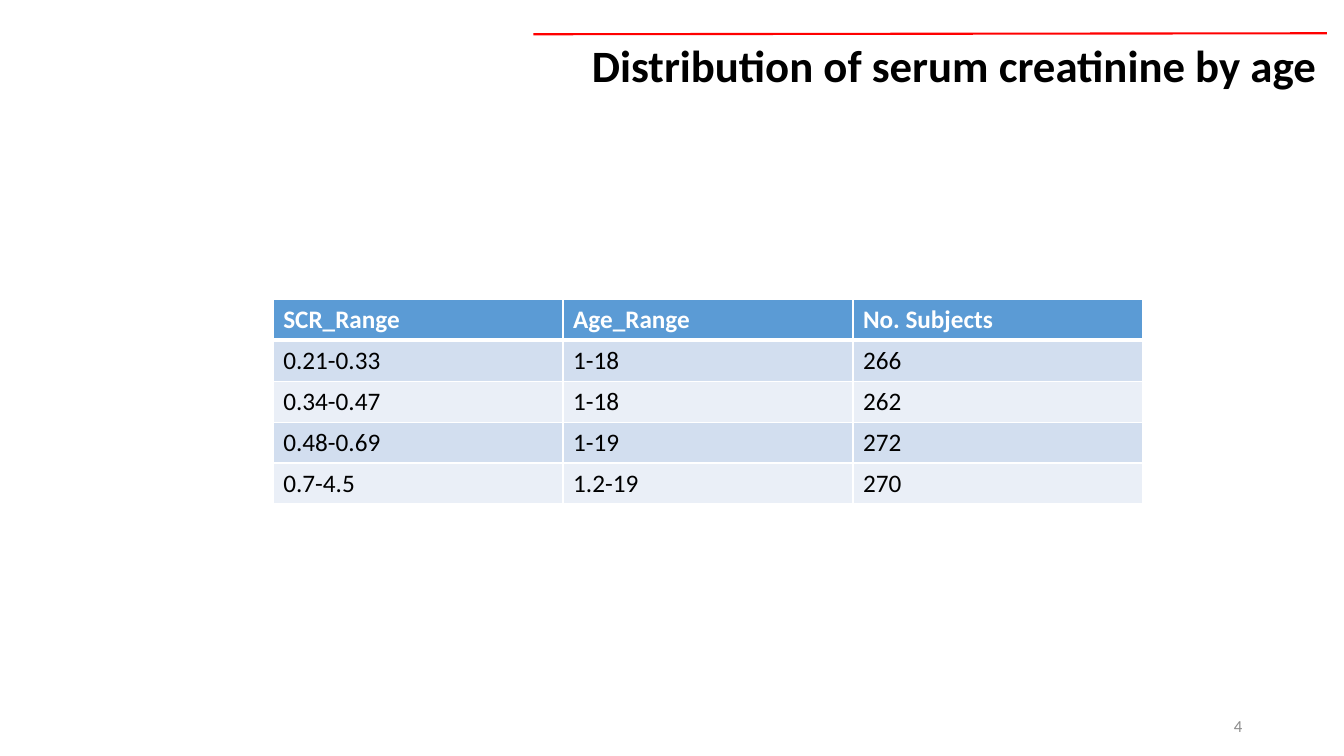
from dataclasses import dataclass

from lxml.etree import SubElement
from pptx import Presentation
from pptx.dml.color import RGBColor
from pptx.enum.shapes import MSO_CONNECTOR
from pptx.enum.text import MSO_ANCHOR, PP_ALIGN
from pptx.oxml.ns import qn
from pptx.slide import Slide
from pptx.table import _Cell
from pptx.text.text import _Paragraph
from pptx.util import Inches, Pt

FONT = "Calibri"
COLORS = {
    "black": "000000",
    "white": "FFFFFF",
    "red": "FF0000",
    "gray": "8C8C8C",
    "head": "5B9BD5",
    "dark": "D2DEEF",
    "light": "EAEFF7",
}
ROWS = [
    ("SCR_Range", "Age_Range", "No. Subjects"),
    ("0.21-0.33", "1-18", "266"),
    ("0.34-0.47", "1-18", "262"),
    ("0.48-0.69", "1-19", "272"),
    ("0.7-4.5", "1.2-19", "270"),
]
COL_WIDTH = 2.875
ROW_HEIGHT = 0.406


@dataclass
class Label:
    text: str
    left: float
    top: float
    width: float
    height: float
    size: int
    color: str
    bold: bool = False
    spacing: float = 1.0


@dataclass
class Band:
    fill: str
    color: str
    bold: bool
    top: int
    bottom: int


LABELS = [
    Label("Distribution of serum creatinine by age", 2.71, 0.39, 10.45, 0.57,
          32, "black", True, 0.9),
    Label("4", 9.42, 7.06, 3, 0.29, 12, "gray"),
]


def rgb(name: str) -> RGBColor:
    return RGBColor.from_string(COLORS[name])


def style(para: _Paragraph, size: int, color: str, bold: bool) -> None:
    for run in para.runs:
        run.font.name = FONT
        run.font.size = Pt(size)
        run.font.bold = bold
        run.font.color.rgb = rgb(color)


def add_label(slide: Slide, label: Label) -> None:
    box = slide.shapes.add_textbox(Inches(label.left), Inches(label.top),
                                   Inches(label.width), Inches(label.height))
    frame = box.text_frame
    frame.word_wrap = True
    frame.vertical_anchor = MSO_ANCHOR.MIDDLE
    frame.text = label.text
    para = frame.paragraphs[0]
    para.alignment = PP_ALIGN.RIGHT
    para.line_spacing = label.spacing
    style(para, label.size, label.color, label.bold)


def add_rule(slide: Slide) -> None:
    """Draw the red line above the title."""
    rule = slide.shapes.add_connector(
        MSO_CONNECTOR.STRAIGHT, Inches(5.29), Inches(0.34), Inches(13.16), Inches(0.33))
    rule.line.color.rgb = rgb("red")
    rule.line.width = Pt(1.5)
    SubElement(rule.element.spPr, qn("a:effectLst"))


def add_edges(cell: _Cell, band: Band) -> None:
    """Give the cell white borders; call before its fill is set."""
    props = cell._tc.get_or_add_tcPr()
    edges = {"lnL": 1, "lnR": 1, "lnT": band.top, "lnB": band.bottom}
    for tag, width in edges.items():
        edge = SubElement(props, qn(f"a:{tag}"), w=str(Pt(width)))
        fill = SubElement(edge, qn("a:solidFill"))
        SubElement(fill, qn("a:srgbClr"), val=COLORS["white"])


def pick_band(row: int) -> Band:
    if row == 0:
        return Band("head", "white", True, 1, 3)
    return Band("dark" if row % 2 else "light", "black", False, 3 if row == 1 else 1, 1)


def add_grid(slide: Slide) -> None:
    rows, cols = len(ROWS), len(ROWS[0])
    grid = slide.shapes.add_table(
        rows, cols, Inches(2.71), Inches(2.97),
        Inches(cols * COL_WIDTH), Inches(rows * ROW_HEIGHT)).table
    for r, texts in enumerate(ROWS):
        band = pick_band(r)
        for c, text in enumerate(texts):
            cell = grid.cell(r, c)
            add_edges(cell, band)
            cell.fill.solid()
            cell.fill.fore_color.rgb = rgb(band.fill)
            cell.text_frame.text = text
            style(cell.text_frame.paragraphs[0], 18, band.color, band.bold)


def main() -> None:
    deck = Presentation()
    deck.slide_width, deck.slide_height = Inches(13.33), Inches(7.5)
    slide = deck.slides.add_slide(deck.slide_layouts[6])
    add_rule(slide)
    add_grid(slide)
    for label in LABELS:
        add_label(slide, label)
    deck.save("out.pptx")


if __name__ == "__main__":
    main()
